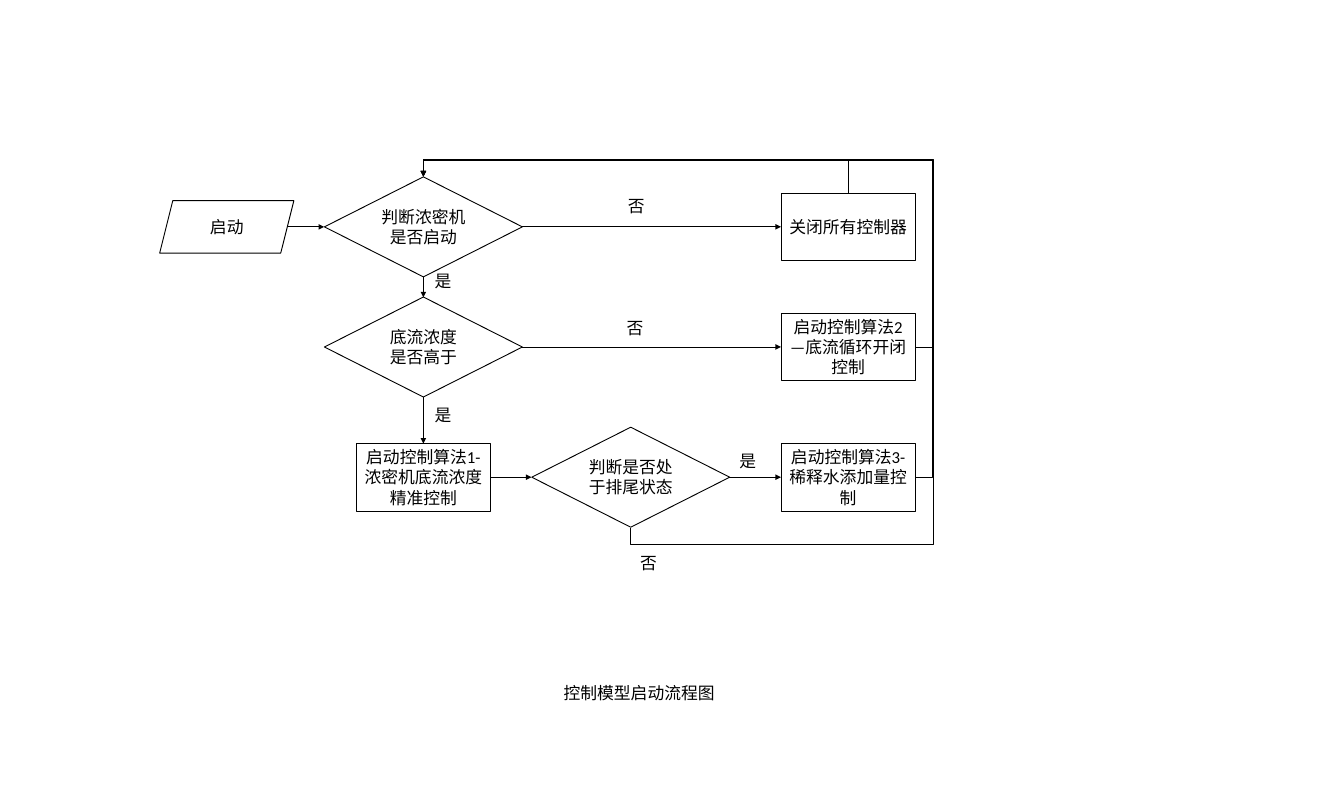
from math import cos, radians, sin
from lxml.etree import SubElement
from pptx import Presentation
from pptx.dml.color import RGBColor
from pptx.enum.shapes import MSO_CONNECTOR, MSO_SHAPE
from pptx.enum.text import MSO_ANCHOR, PP_ALIGN
from pptx.oxml.ns import qn
from pptx.util import Inches, Pt

COLORS = {"ink": "000000", "paper": "FFFFFF"}
INK = RGBColor.from_string(COLORS["ink"])
PAPER = RGBColor.from_string(COLORS["paper"])

prs = Presentation()
prs.slide_width, prs.slide_height = Inches(20.03), Inches(11.83)
s = prs.slides.add_slide(prs.slide_layouts[6])


def write(sp, text, align):
    tf = sp.text_frame
    tf.word_wrap = True
    p = tf.paragraphs[0]
    p.alignment = align
    r = p.add_run()
    r.text = text
    r.font.size = Pt(18)
    r.font.name = "Calibri"
    r.font.color.rgb = INK


def arrow(kind, x1, y1, x2, y2, width):
    cn = s.shapes.add_connector(kind, Inches(x1), Inches(y1), Inches(x2), Inches(y2))
    cn.line.color.rgb = INK
    cn.line.width = Pt(width)
    SubElement(cn.line._get_or_add_ln(), qn("a:tailEnd"), type="triangle")
    SubElement(cn._element.spPr, qn("a:effectLst"))
    return cn


left, middle, right = 6.31, 9.4, 12.64
row1, row2, row3 = 3.38, 5.17, 7.11
diamond = (MSO_SHAPE.DIAMOND, 2.95, 1.49)
box = (MSO_SHAPE.RECTANGLE, 2, 1.01)
start = (MSO_SHAPE.PARALLELOGRAM, 2, 0.78)

steps = [
    (start, 3.38, row1, "启动"),
    (diamond, left, row1, "判断浓密机是否启动"),
    (box, right, row1, "关闭所有控制器"),
    (diamond, left, row2, "底流浓度 是否高于"),
    (box, right, row2, "启动控制算法2—底流循环开闭控制"),
    (box, left, row3, "启动控制算法1-浓密机底流浓度精准控制"),
    (diamond, middle, row3, "判断是否处于排尾状态"),
    (box, right, row3, "启动控制算法3-稀释水添加量控制"),
]
for (kind, w, h), cx, cy, text in steps:
    sp = s.shapes.add_shape(kind, Inches(cx - w / 2), Inches(cy - h / 2), Inches(w), Inches(h))
    sp.shadow.inherit = False
    sp.fill.solid()
    sp.fill.fore_color.rgb = PAPER
    sp.line.color.rgb = INK
    sp.line.width = Pt(1)
    sp.text_frame.vertical_anchor = MSO_ANCHOR.MIDDLE
    write(sp, text, PP_ALIGN.CENTER)

straight = [
    (4.28, row1, 4.83, row1),
    (7.78, row1, 11.64, row1),
    (left, 4.12, left, 4.43),
    (7.78, row2, 11.64, row2),
    (left, 5.91, left, 6.61),
    (7.31, row3, 7.92, row3),
    (10.87, row3, 11.64, row3),
]
for points in straight:
    arrow(MSO_CONNECTOR.STRAIGHT, *points, 1)

end_x, end_y = left, 2.63
returns = [
    (right, 2.87, 270, [205000]),
    (13.64, row2, 0, [-3400, 109800]),
    (13.64, row3, 0, [-3400, 105600]),
    (middle, 7.86, 90, [-4800, -145700, 104800]),
]
for x, y, turn, adjusts in returns:
    mid_x, mid_y = (x + end_x) / 2, (y + end_y) / 2
    dx, dy = (end_x - x) / 2, (end_y - y) / 2
    c, n = cos(radians(turn)), sin(radians(turn))
    ux, uy = dx * c + dy * n, dy * c - dx * n
    cn = arrow(MSO_CONNECTOR.ELBOW, mid_x - ux, mid_y - uy, mid_x + ux, mid_y + uy, 0.5)
    spPr = cn._element.spPr
    spPr.find(qn("a:xfrm")).set("rot", str(turn * 60000))
    geom = spPr.find(qn("a:prstGeom"))
    geom.set("prst", f"bentConnector{len(adjusts) + 2}")
    guides = geom.find(qn("a:avLst"))
    if guides is None:
        guides = SubElement(geom, qn("a:avLst"))
    for i, value in enumerate(adjusts, 1):
        SubElement(guides, qn("a:gd"), name=f"adj{i}", fmla=f"val {value}")

labels = [
    (6.38, 3.98, 0.95, 0.56, "是", PP_ALIGN.LEFT),
    (6.38, 5.98, 0.54, 0.56, "是", PP_ALIGN.LEFT),
    (10.92, 6.66, 0.95, 0.56, "是", PP_ALIGN.LEFT),
    (9.26, 2.86, 0.54, 0.56, "否", PP_ALIGN.LEFT),
    (9.24, 4.69, 0.95, 0.56, "否", PP_ALIGN.LEFT),
    (9.44, 8.18, 0.54, 0.56, "否", PP_ALIGN.LEFT),
    (6.4, 10.12, 6.25, 0.4, "控制模型启动流程图", PP_ALIGN.CENTER),
]
for x, y, w, h, text, align in labels:
    sp = s.shapes.add_textbox(Inches(x), Inches(y), Inches(w), Inches(h))
    write(sp, text, align)

prs.save("out.pptx")
